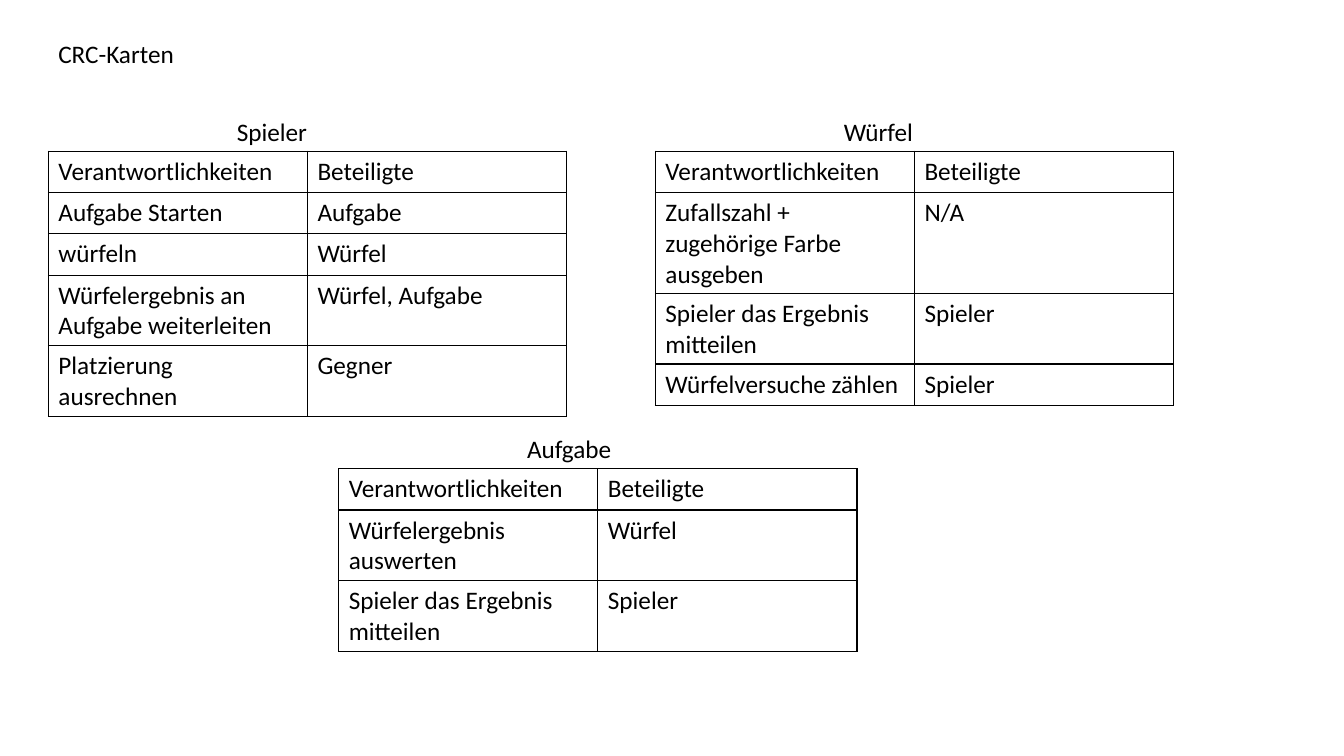
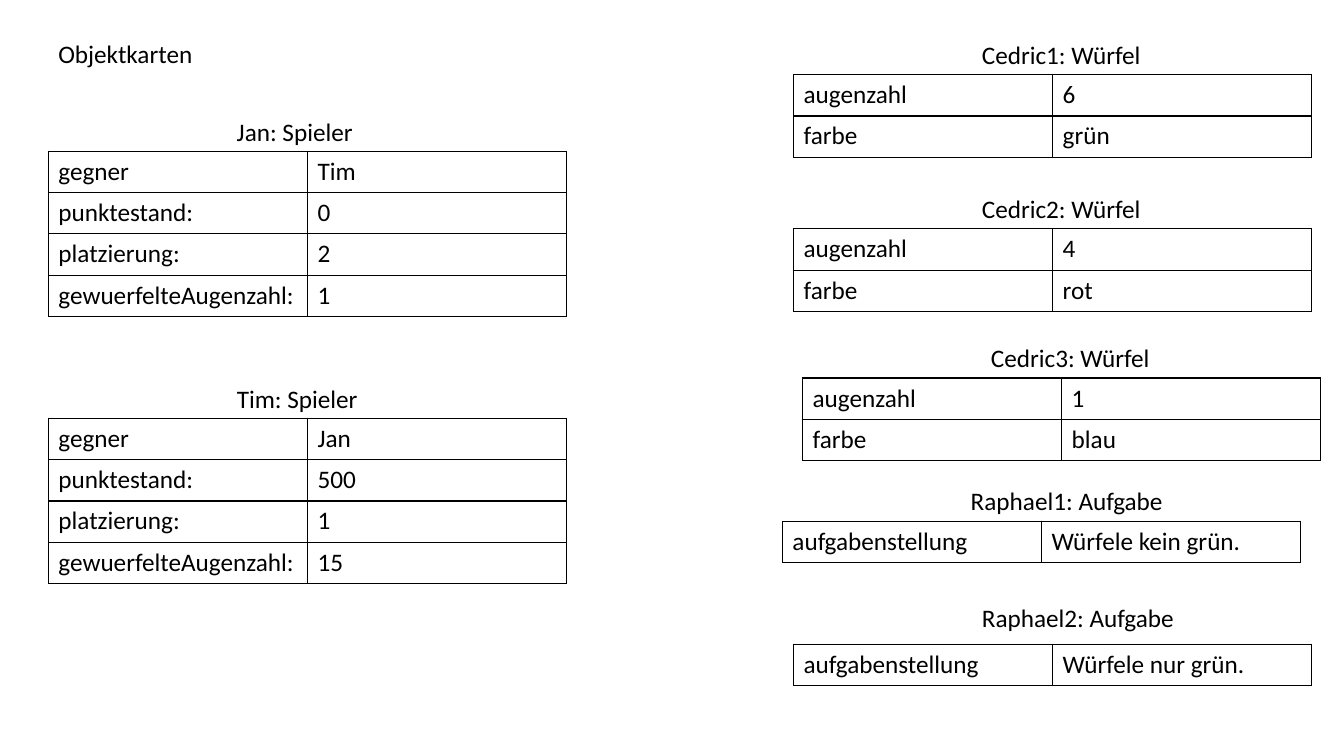
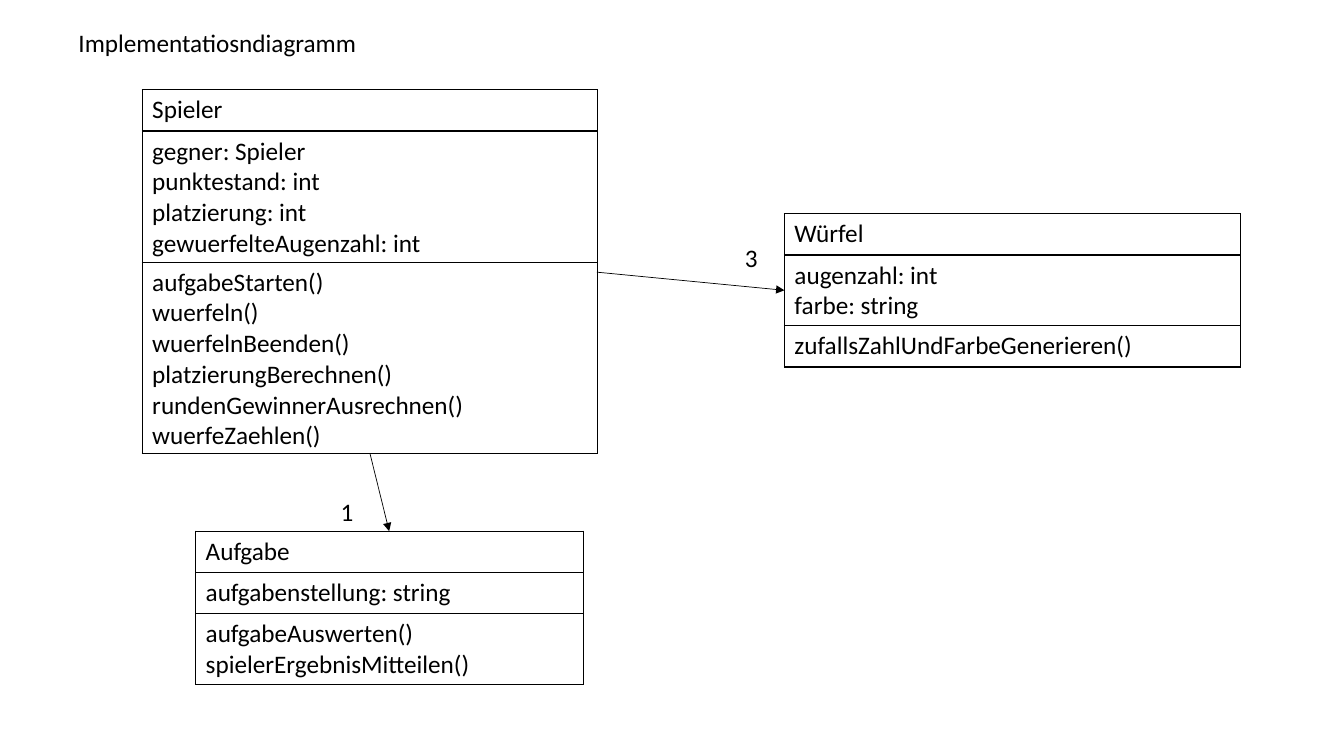
from lxml import etree
from pptx import Presentation
from pptx.dml.color import RGBColor
from pptx.enum.shapes import MSO_CONNECTOR
from pptx.enum.text import MSO_AUTO_SIZE
from pptx.oxml.ns import qn
from pptx.util import Inches, Pt

STRAIGHT = MSO_CONNECTOR.STRAIGHT
GROW = MSO_AUTO_SIZE.SHAPE_TO_FIT_TEXT
INK, FONT, SIZE = "000000", "Calibri", 18
WIDE, HIGH = 13.33, 7.5
ROW, LABEL, INDENT = 0.41, 0.4, 1.77
PAIR = [2.57, 2.57]

HEAD = ("Verantwortlichkeiten", "Beteiligte")
KEYS = ("gegner", "punktestand: ", "platzierung: ", "gewuerfelteAugenzahl: ")
DICE = ("augenzahl", "farbe")
TASK = ("aufgabenstellung",)


def rows(keys, *values):
    """Pair the attribute names with their values."""
    return list(zip(keys, values))


# name, name width, gap above table, left, top, rows
CARDS = [
    (("CRC-Karten", 0.48, 0.33, 1.36), [
        ("Spieler", 0.91, LABEL, 0.48, 1.5, [
            HEAD,
            ("Aufgabe Starten", "Aufgabe"),
            ("würfeln", "Würfel"),
            ("Würfelergebnis an Aufgabe weiterleiten", "Würfel, Aufgabe"),
            ("Platzierung ausrechnen", "Gegner")]),
        ("Würfel", 0.89, LABEL, 6.5, 1.5, [
            HEAD,
            ("Zufallszahl + zugehörige Farbe ausgeben", "N/A"),
            ("Spieler das Ergebnis mitteilen", "Spieler"),
            ("Würfelversuche zählen", "Spieler")]),
        ("Aufgabe", 1.05, LABEL, 3.36, 4.65, [
            HEAD,
            ("Würfelergebnis auswerten", "Würfel"),
            ("Spieler das Ergebnis mitteilen", "Spieler")]),
    ]),
    (("Objektkarten", 0.48, 0.33, 1.54), [
        ("Jan: Spieler", 1.37, LABEL, 0.48, 1.5, rows(KEYS, "Tim", "0", "2", "1")),
        ("Tim: Spieler", 1.42, LABEL, 0.48, 4.15, rows(KEYS, "Jan", "500", "1", "15")),
        ("Cedric1: Würfel", 1.8, LABEL, 7.87, 0.74, rows(DICE, "6", "grün")),
        ("Cedric2: Würfel", 1.8, LABEL, 7.87, 2.27, rows(DICE, "4", "rot")),
        ("Cedric3: Würfel", 1.8, LABEL, 7.96, 3.75, rows(DICE, "1", "blau")),
        ("Raphael1: Aufgabe", 2.13, LABEL, 7.76, 5.17, rows(TASK, "Würfele kein grün.")),
        ("Raphael2: Aufgabe", 2.13, 0.46, 7.87, 6.39, rows(TASK, "Würfele nur grün.")),
    ]),
]

CLASSES = [
    (1.41, 0.89, 4.52, [
        "Spieler",
        "gegner: Spieler\vpunktestand: int\nplatzierung: int\n"
        "gewuerfelteAugenzahl: int",
        "aufgabeStarten()\vwuerfeln()\nwuerfelnBeenden()\nplatzierungBerechnen()\n"
        "rundenGewinnerAusrechnen()\nwuerfeZaehlen()"]),
    (1.94, 5.27, 3.85, [
        "Aufgabe",
        "aufgabenstellung: string",
        "aufgabeAuswerten()\nspielerErgebnisMitteilen()"]),
    (7.78, 2.12, 4.52, [
        "Würfel",
        "augenzahl: int\nfarbe: string",
        "zufallsZahlUndFarbeGenerieren()"]),
]
LINKS = [(3.67, 4.5, 3.86, 5.27), (5.92, 2.7, 7.78, 2.88)]
TEXTS = [
    ("1", 3.28, 4.87, 0.33),
    ("3", 7.29, 2.35, 0.33),
    ("Implementatiosndiagramm", 0.68, 0.22, 2.99),
]


def color(code):
    """Turn a hex string into a colour."""
    return RGBColor.from_string(code)


def style(frame):
    """Give all paragraphs the shared font."""
    for para in frame.paragraphs:
        para.font.name = FONT
        para.font.size = Pt(SIZE)
        para.font.color.rgb = color(INK)


def label(slide, text, left, top, width):
    """Add one line of text that does not wrap."""
    box = slide.shapes.add_textbox(*map(Inches, (left, top, width, LABEL)))
    frame = box.text_frame
    frame.text = text
    frame.word_wrap = False
    frame.auto_size = GROW
    style(frame)


def border(cell):
    """Draw a thin line on all sides of a cell."""
    props = cell._tc.get_or_add_tcPr()
    for side in ("lnL", "lnR", "lnT", "lnB"):
        line = etree.SubElement(props, qn("a:" + side), w=str(Pt(1)))
        fill = etree.SubElement(line, qn("a:solidFill"))
        etree.SubElement(fill, qn("a:srgbClr"), val=INK)


def grid(slide, left, top, widths, lines):
    """Add a plain ruled table."""
    size = map(Inches, (left, top, sum(widths), ROW * len(lines)))
    table = slide.shapes.add_table(len(lines), len(widths), *size).table
    table.first_row = table.horz_banding = False
    for col, width in zip(table.columns, widths):
        col.width = Inches(width)
    for row, texts in zip(table.rows, lines):
        row.height = Inches(ROW)
        for cell, text in zip(row.cells, texts):
            cell.text = text
            style(cell.text_frame)
            border(cell)
            cell.fill.background()


def arrow(slide, *ends):
    """Add a thin arrow between two points."""
    link = slide.shapes.add_connector(STRAIGHT, *map(Inches, ends))
    link.line.color.rgb = color(INK)
    link.line.width = Pt(0.5)
    etree.SubElement(link.line._get_or_add_ln(), qn("a:tailEnd"), type="triangle")
    etree.SubElement(link._element.spPr, qn("a:effectLst"))


deck = Presentation()
deck.slide_width, deck.slide_height = Inches(WIDE), Inches(HIGH)
blank = deck.slide_layouts[6]

for title, cards in CARDS:
    slide = deck.slides.add_slide(blank)
    label(slide, *title)
    for name, width, gap, left, top, lines in cards:
        grid(slide, left, top, PAIR, lines)
        label(slide, name, left + INDENT, top - gap, width)

slide = deck.slides.add_slide(blank)
for left, top, width, parts in CLASSES:
    grid(slide, left, top, [width], [[part] for part in parts])
for ends in LINKS:
    arrow(slide, *ends)
for text in TEXTS:
    label(slide, *text)

deck.save("out.pptx")
